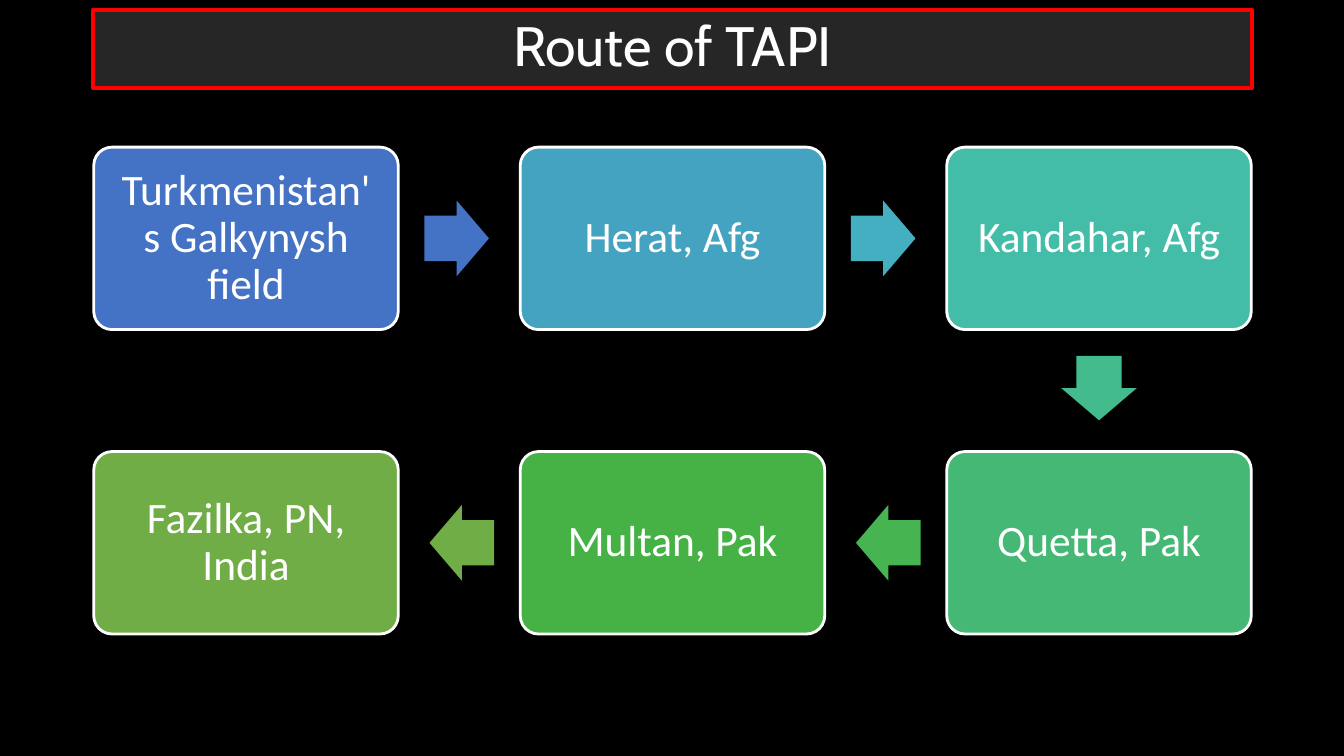
"""Build the TAPI route slide: six stops in a snaking flow joined by arrows."""
from pptx import Presentation
from pptx.dml.color import RGBColor
from pptx.enum.shapes import MSO_SHAPE as Preset
from pptx.enum.text import MSO_ANCHOR as Anchor, MSO_AUTO_SIZE as AutoSize, PP_ALIGN as Align
from pptx.util import Inches, Pt

BLACK = RGBColor(0x00, 0x00, 0x00)
WHITE = RGBColor(0xFF, 0xFF, 0xFF)
CHARCOAL = RGBColor(0x26, 0x26, 0x26)
RED = RGBColor(0xFF, 0x00, 0x00)
BLUE = RGBColor(0x44, 0x72, 0xC4)
SKY = RGBColor(0x44, 0xA3, 0xC0)
CYAN = RGBColor(0x43, 0xAF, 0xC0)
TEAL = RGBColor(0x43, 0xBD, 0xA7)
SEA = RGBColor(0x43, 0xBB, 0x8D)
JADE = RGBColor(0x44, 0xB8, 0x74)
EMERALD = RGBColor(0x45, 0xB4, 0x51)
GREEN = RGBColor(0x46, 0xB2, 0x46)
OLIVE = RGBColor(0x70, 0xAD, 0x47)

HEADING = "Route of TAPI"
STOPS = [
    ("Turkmenistan's Galkynysh field", BLUE),
    ("Herat, Afg", SKY),
    ("Kandahar, Afg", TEAL),
    ("Quetta, Pak", JADE),
    ("Multan, Pak", GREEN),
    ("Fazilka, PN, India", OLIVE),
]
ARROW_COLORS = [BLUE, CYAN, SEA, EMERALD, OLIVE]

COLUMNS = 3
GRID_LEFT, GRID_TOP = 0.93, 1.46
COLUMN_STEP, ROW_STEP = 4.23, 3.02
BOX_WIDTH, BOX_HEIGHT = 3.02, 1.81
ARROW_LENGTH, ARROW_WIDTH, ARROW_GAP = 0.64, 0.75, 0.26
TEXT_INSET = 0.18


def stop_cell(index):
    """Return the column and row of a stop; every second row runs backwards."""
    row, column = divmod(index, COLUMNS)
    return (COLUMNS - 1 - column if row % 2 else column), row


def add_preset(slide, preset, left, top, width, height, color):
    """Add a flat filled shape without outline."""
    shape = slide.shapes.add_shape(
        preset, Inches(left), Inches(top), Inches(width), Inches(height))
    shape.shadow.inherit = False
    shape.fill.solid()
    shape.fill.fore_color.rgb = color
    shape.line.fill.background()
    return shape


def set_outline(shape, color, width):
    """Draw a solid outline."""
    shape.line.color.rgb = color
    shape.line.width = Pt(width)


def write_centred(shape, wording, font_name, size):
    """Write one centred white paragraph into a shape."""
    frame = shape.text_frame
    frame.text = wording
    frame.word_wrap = True
    frame.auto_size = AutoSize.NONE
    frame.vertical_anchor = Anchor.MIDDLE
    paragraph = frame.paragraphs[0]
    paragraph.alignment = Align.CENTER
    paragraph.line_spacing = 0.9
    font = paragraph.runs[0].font
    font.name = font_name
    font.size = Pt(size)
    font.color.rgb = WHITE


def add_heading(slide):
    """Format the title placeholder as a framed banner."""
    heading = slide.shapes.title
    heading.left, heading.top = Inches(0.92), Inches(0.1)
    heading.width, heading.height = Inches(11.5), Inches(0.77)
    heading.fill.solid()
    heading.fill.fore_color.rgb = CHARCOAL
    set_outline(heading, RED, 3)
    write_centred(heading, HEADING, "Cabin", 39.6)


def add_stop(slide, index, wording, color):
    """Add one stop of the route."""
    column, row = stop_cell(index)
    stop = add_preset(slide, Preset.ROUNDED_RECTANGLE,
                      GRID_LEFT + column * COLUMN_STEP, GRID_TOP + row * ROW_STEP,
                      BOX_WIDTH, BOX_HEIGHT, color)
    stop.adjustments[0] = 0.1
    set_outline(stop, WHITE, 2)
    frame = stop.text_frame
    frame.margin_left = frame.margin_right = Inches(TEXT_INSET)
    frame.margin_top = frame.margin_bottom = Inches(TEXT_INSET)
    write_centred(stop, wording, "Calibri", 31)


def add_arrow(slide, index, color):
    """Add the arrow that leaves a stop towards the next one."""
    column, row = stop_cell(index)
    next_column, next_row = stop_cell(index + 1)
    across, down = next_column - column, next_row - row
    reach = ARROW_GAP + ARROW_LENGTH / 2
    center_x = GRID_LEFT + column * COLUMN_STEP + BOX_WIDTH / 2 + across * (BOX_WIDTH / 2 + reach)
    center_y = GRID_TOP + row * ROW_STEP + BOX_HEIGHT / 2 + down * (BOX_HEIGHT / 2 + reach)
    arrow = add_preset(slide, Preset.RIGHT_ARROW,
                       center_x - ARROW_LENGTH / 2, center_y - ARROW_WIDTH / 2,
                       ARROW_LENGTH, ARROW_WIDTH, color)
    arrow.adjustments[0] = 0.6
    arrow.adjustments[1] = 0.5
    arrow.rotation = 90 if down else 180 if across < 0 else 0


def main():
    """Assemble and save the slide."""
    deck = Presentation()
    deck.slide_width, deck.slide_height = Inches(13.33), Inches(7.5)
    slide = deck.slides.add_slide(deck.slide_layouts[5])
    slide.background.fill.solid()
    slide.background.fill.fore_color.rgb = BLACK
    add_heading(slide)
    for index, (wording, color) in enumerate(STOPS):
        add_stop(slide, index, wording, color)
    for index, color in enumerate(ARROW_COLORS):
        add_arrow(slide, index, color)
    deck.save("out.pptx")


if __name__ == "__main__":
    main()
